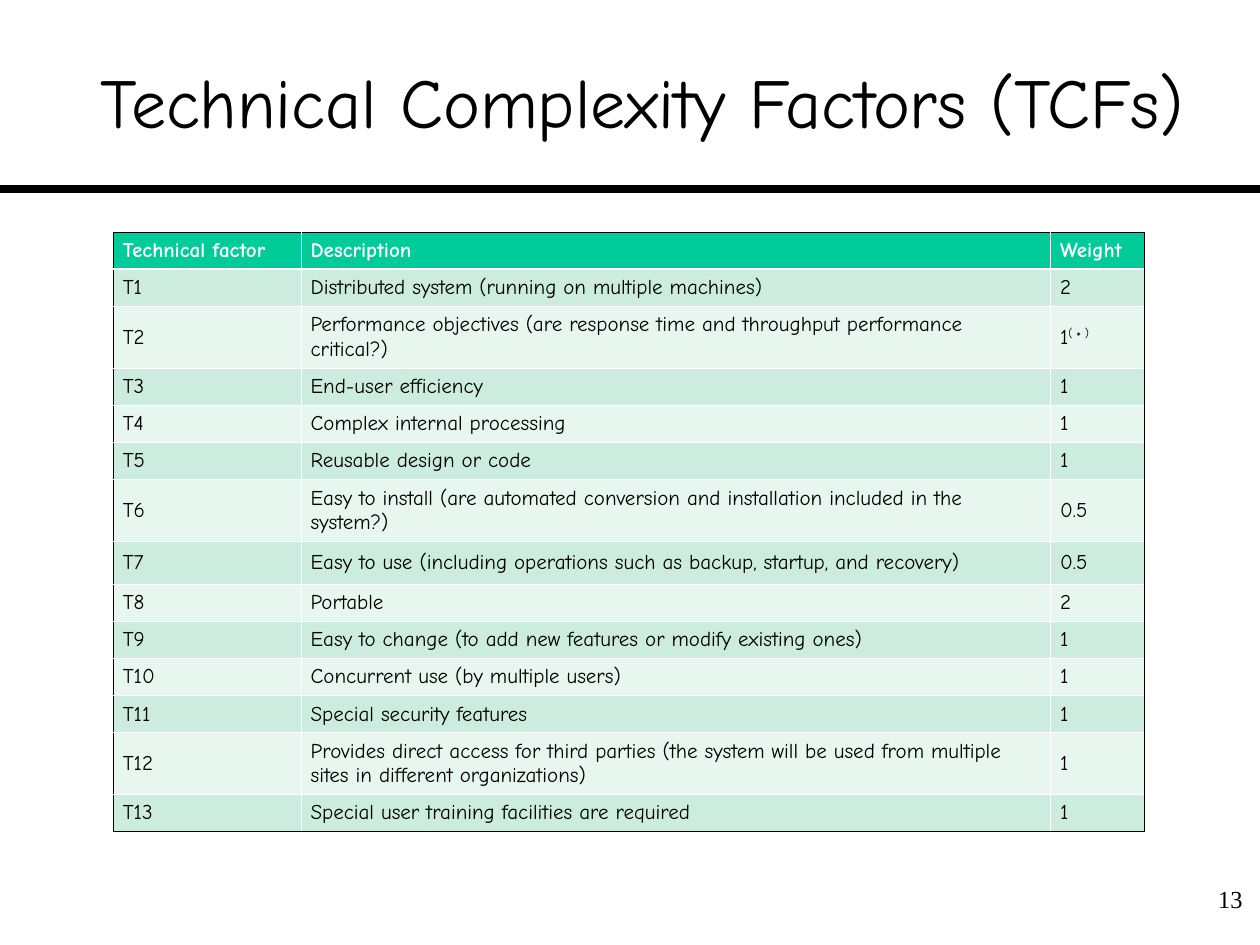
from dataclasses import dataclass

from lxml.etree import SubElement
from pptx import Presentation
from pptx.dml.color import RGBColor
from pptx.enum.shapes import MSO_CONNECTOR
from pptx.enum.text import MSO_ANCHOR, PP_ALIGN
from pptx.oxml import parse_xml
from pptx.oxml.ns import nsdecls, qn
from pptx.util import Pt

TITLE = "Technical Complexity Factors (TCFs)"
PAGE_NUMBER = "13"
HEADER = ("Technical factor", "Description", "Weight")
FACTORS = [
    ("Distributed system (running on multiple machines)", "2"),
    ("Performance objectives (are response time and throughput performance critical?)", "1"),
    ("End-user efficiency", "1"),
    ("Complex internal processing", "1"),
    ("Reusable design or code", "1"),
    ("Easy to install (are automated conversion and installation included in the system?)", "0.5"),
    ("Easy to use (including operations such as backup, startup, and recovery)", "0.5"),
    ("Portable", "2"),
    ("Easy to change (to add new features or modify existing ones)", "1"),
    ("Concurrent use (by multiple users)", "1"),
    ("Special security features", "1"),
    ("Provides direct access for third parties (the system will be used from multiple "
     "sites in different organizations)", "1"),
    ("Special user training facilities are required", "1"),
]
STARRED_ROW = 2
COL_WIDTHS = (107.3, 428.3, 53.4)
ROW_HEIGHT = 20
TALL_ROWS = {2: 34, 6: 34, 7: 24.5, 12: 34}


@dataclass(frozen=True)
class Theme:
    font: str = "Comic Neue"
    star_font: str = "Arial"
    number_font: str = "Times New Roman"
    black: str = "000000"
    white: str = "FFFFFF"
    header: str = "00CC99"
    bands: tuple = ("E7F6EF", "CBECDE")
    title_size: float = 40
    body_size: float = 12
    number_size: float = 14
    line_spacing: float = 14
    thin: float = 0.45
    thick: float = 1.47
    rule: float = 4.5


theme = Theme()


def add_run(p, text, size, color, font=theme.font, bold=False):
    r = p.add_run()
    r.text = text
    r.font.name, r.font.size, r.font.bold = font, Pt(size), bold
    r.font.color.rgb = RGBColor.from_string(color)
    return r


def set_borders(cell, row, col, last_row, last_col):
    """Black around the table, white inside, thicker below the header."""
    edges = {
        "L": (col == 0, False),
        "R": (col == last_col, False),
        "T": (row == 0, row == 1),
        "B": (row == last_row, row == 0),
    }
    tc_pr = cell._tc.get_or_add_tcPr()
    for i, (side, (outer, below_header)) in enumerate(edges.items()):
        color = theme.black if outer else theme.white
        width = Pt(theme.thick if below_header else theme.thin)
        tc_pr.insert(i, parse_xml(
            f'<a:ln{side} {nsdecls("a")} w="{width}"><a:solidFill>'
            f'<a:srgbClr val="{color}"/></a:solidFill></a:ln{side}>'))


def add_factor_table(slide):
    rows = [HEADER] + [(f"T{n}", *factor) for n, factor in enumerate(FACTORS, 1)]
    heights = [TALL_ROWS.get(i, ROW_HEIGHT) for i in range(len(rows))]
    table = slide.shapes.add_table(
        len(rows), len(HEADER), Pt(64.8), Pt(132.6),
        Pt(sum(COL_WIDTHS)), Pt(sum(heights))).table
    for column, width in zip(table.columns, COL_WIDTHS):
        column.width = Pt(width)
    for i, (values, height) in enumerate(zip(rows, heights)):
        table.rows[i].height = Pt(height)
        is_header = i == 0
        for j, text in enumerate(values):
            cell = table.cell(i, j)
            cell.vertical_anchor = MSO_ANCHOR.MIDDLE
            cell.margin_left = cell.margin_right = Pt(5.4)
            cell.margin_top = cell.margin_bottom = Pt(3.6)
            cell.fill.solid()
            cell.fill.fore_color.rgb = RGBColor.from_string(
                theme.header if is_header else theme.bands[i % 2])
            set_borders(cell, i, j, len(rows) - 1, len(HEADER) - 1)
            p = cell.text_frame.paragraphs[0]
            p.line_spacing = Pt(theme.line_spacing)
            color = theme.white if is_header else theme.black
            add_run(p, text, theme.body_size, color, bold=is_header)
    star_p = table.cell(STARRED_ROW, len(HEADER) - 1).text_frame.paragraphs[0]
    for text, font in (("(", theme.font), ("∗", theme.star_font), (")", theme.font)):
        r = add_run(star_p, text, theme.body_size, theme.black, font)
        r.font._element.set("baseline", "30000")


def add_title(slide):
    sp = slide.shapes.title
    sp.left, sp.top, sp.width, sp.height = Pt(25.2), Pt(12.2), Pt(683.3), Pt(90)
    tf = sp.text_frame
    tf.vertical_anchor = MSO_ANCHOR.MIDDLE
    p = tf.paragraphs[0]
    p.alignment = PP_ALIGN.CENTER
    add_run(p, TITLE, theme.title_size, theme.black)


def add_rule(slide, width):
    line = slide.shapes.add_connector(
        MSO_CONNECTOR.STRAIGHT, 0, Pt(108), width, Pt(108))
    line.line.color.rgb = RGBColor.from_string(theme.black)
    line.line.width = Pt(theme.rule)
    SubElement(line._element.spPr, qn("a:effectLst"))


def add_page_number(slide):
    sp = slide.shapes.add_textbox(Pt(680.4), Pt(501.8), Pt(36.7), Pt(36))
    tf = sp.text_frame
    tf.word_wrap = True
    p = tf.paragraphs[0]
    p.alignment = PP_ALIGN.RIGHT
    add_run(p, PAGE_NUMBER, theme.number_size, theme.black, theme.number_font)


def main():
    prs = Presentation()
    prs.slide_width, prs.slide_height = Pt(720), Pt(540)
    slide = prs.slides.add_slide(prs.slide_layouts.get_by_name("Title Only"))
    add_rule(slide, prs.slide_width)
    add_page_number(slide)
    add_title(slide)
    add_factor_table(slide)
    prs.save("out.pptx")


if __name__ == "__main__":
    main()
